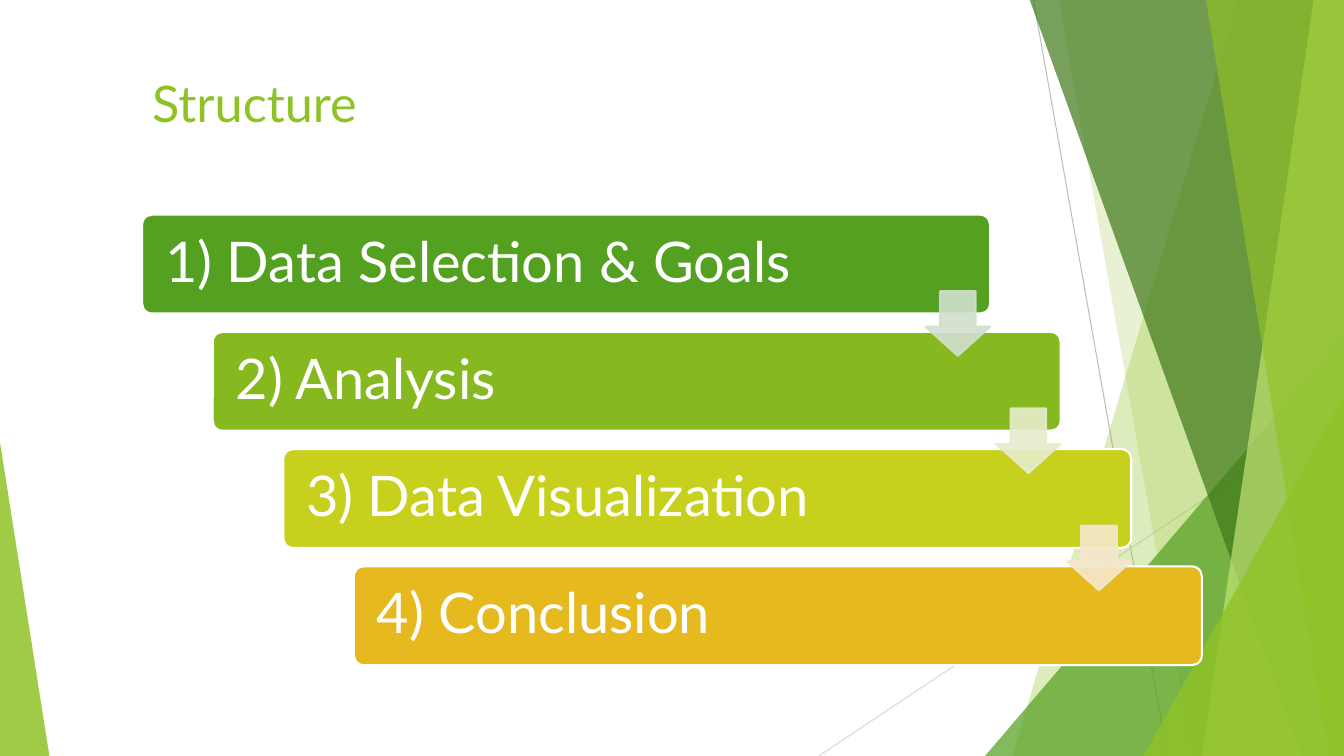
import pptx
import pptx.util
import pptx.dml.color
import pptx.enum.shapes
import pptx.enum.text
import pptx.oxml.ns
from lxml import etree

Inches = pptx.util.Inches
Pt = pptx.util.Pt
Kind = pptx.enum.shapes.MSO_SHAPE
qn = pptx.oxml.ns.qn


def color(code):
    return pptx.dml.color.RGBColor.from_string(code)


def paint(shape, code, edge=None, alpha=100):
    shape.shadow.inherit = False
    shape.fill.solid()
    shape.fill.fore_color.rgb = color(code)
    if edge:
        shape.line.color.rgb = color(edge)
        shape.line.width = Pt(1.5)
    else:
        shape.line.fill.background()
    if alpha < 100:
        for node in shape._element.spPr.iter(qn("a:srgbClr")):
            etree.SubElement(node, qn("a:alpha")).set("val", str(alpha * 1000))


deck = pptx.Presentation()
deck.slide_width, deck.slide_height = Inches(13.33), Inches(7.5)
slide = deck.slides.add_slide(deck.slide_layouts[6])
shapes = slide.shapes

# Thin lines behind the facets
for x1, y1, x2, y2, code in [
    (10.25, 0, 11.58, 7.5, "BFBFBF"),
    (13.33, 4.03, 8.12, 7.5, "D9D9D9"),
]:
    line = shapes.add_connector(
        pptx.enum.shapes.MSO_CONNECTOR.STRAIGHT,
        Inches(x1), Inches(y1), Inches(x2), Inches(y2))
    line.line.color.rgb = color(code)
    line.line.width = Pt(0.75)
    etree.SubElement(line._element.spPr, qn("a:effectLst"))

# Facets, back to front: bands give top and bottom x, running to the right
# edge; triangles give left, top, width and the position of the tip
facets = [
    ("band", (12.28, 10.04), "90C226", 30),
    ("band", (10.5, 11.83), "90C226", 20),
    ("tip", (9.77, 3.33, 3.56, 1), "54A021", 72),
    ("band", (10.21, 12.91), "3F7819", 70),
    ("band", (13.03, 11.92), "C0E474", 70),
    ("band", (11.96, 13.18), "90C226", 65),
    ("tip", (11.34, 3.93, 1.99, 1), "90C226", 80),
    ("tip", (0, 4.39, 0.49, 0), "90C226", 85),
]
for kind, size, code, alpha in facets:
    if kind == "band":
        top, base = size
        path = shapes.build_freeform(Inches(top), Inches(-0.01))
        path.add_line_segments([
            (Inches(x), Inches(y))
            for x, y in [(13.33, -0.01), (13.33, 7.5), (base, 7.5)]])
        facet = path.convert_to_shape()
    else:
        x, y, width, tip = size
        facet = shapes.add_shape(
            Kind.ISOSCELES_TRIANGLE,
            Inches(x), Inches(y), Inches(width), Inches(7.5 - y))
        facet.adjustments[0] = tip
    paint(facet, code, alpha=alpha)

# Title
title = shapes.add_textbox(Inches(1.41), Inches(0.67), Inches(11.15), Inches(1.2))
title.text_frame.word_wrap = True
run = title.text_frame.paragraphs[0].add_run()
run.text = "Structure"
run.font.name = "Lato"
run.font.size = Pt(36)
run.font.color.rgb = color("90C226")

# Staircase of steps
steps = [
    ("1) Data Selection & Goals", "54A021"),
    ("2) Analysis", "86B820"),
    ("3) Data Visualization", "C7D01D"),
    ("4) Conclusion", "E6B91E"),
]
left, top, right, down = 1.41, 2.13, 0.7, 1.163
for i, (text, code) in enumerate(steps):
    bar = shapes.add_shape(
        Kind.ROUNDED_RECTANGLE, Inches(left + i * right),
        Inches(top + i * down), Inches(8.41), Inches(0.98))
    bar.adjustments[0] = 0.1
    paint(bar, code, "FFFFFF")
    frame = bar.text_frame
    frame.word_wrap = True
    frame.vertical_anchor = pptx.enum.text.MSO_ANCHOR.MIDDLE
    frame.margin_left = frame.margin_right = Inches(0.2)
    para = frame.paragraphs[0]
    para.alignment = pptx.enum.text.PP_ALIGN.LEFT
    para.line_spacing = 0.9
    run = para.add_run()
    run.text = text
    run.font.name = "Lato"
    run.font.size = Pt(40)
    run.font.color.rgb = color("FFFFFF")

# Arrows from each step to the next
for i, code in enumerate(["D1DFCD", "E5ECCB", "F5E7CD"]):
    arrow = shapes.add_shape(
        Kind.DOWN_ARROW, Inches(9.18 + i * right),
        Inches(2.89 + i * down), Inches(0.64), Inches(0.64))
    arrow.adjustments[0] = 0.55
    arrow.adjustments[1] = 0.45
    paint(arrow, code, code, 90)

deck.save("out.pptx")
